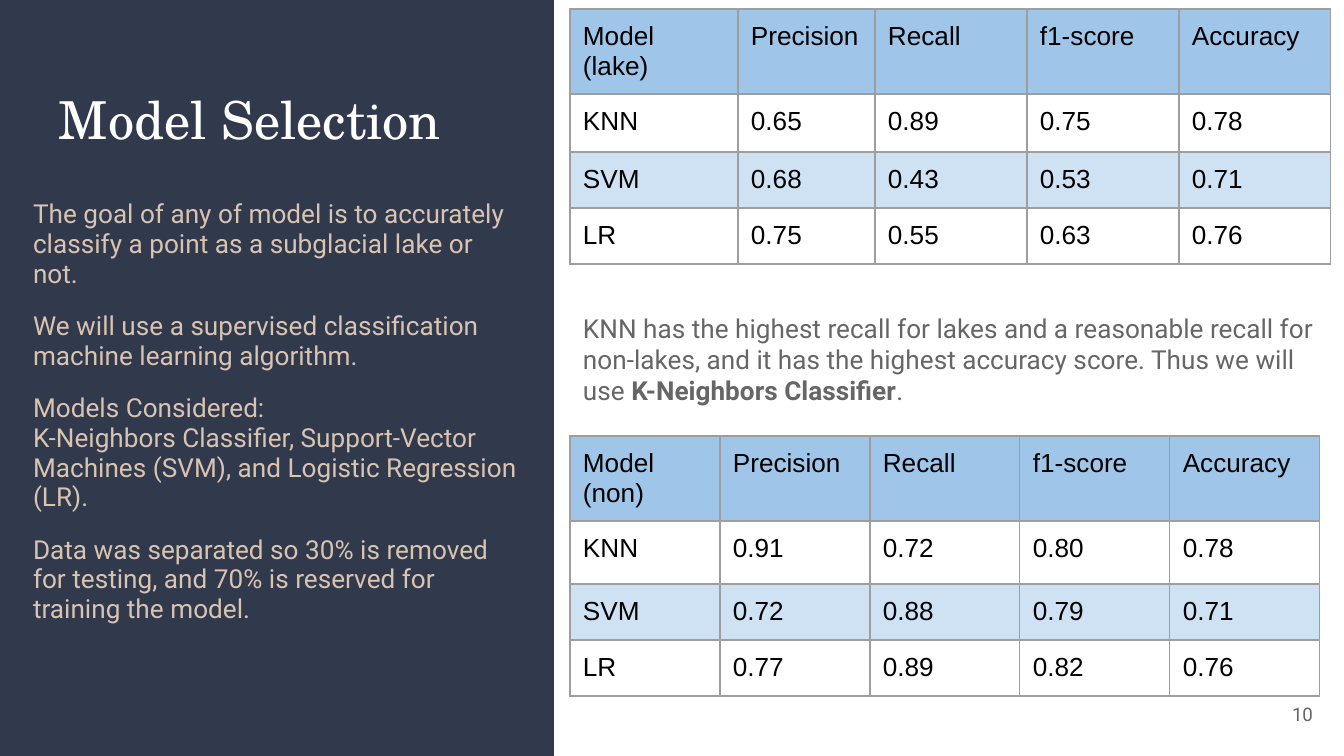
from pptx import Presentation
from pptx.dml.color import RGBColor
from pptx.enum.shapes import MSO_SHAPE as Shape
from pptx.enum.text import MSO_ANCHOR as Anchor, MSO_AUTO_SIZE as AutoSize, PP_ALIGN as Align
from pptx.oxml import parse_xml
from pptx.oxml.ns import nsdecls
from pptx.util import Emu, Pt

PX = 914400 / 134.4
INSET = 13
COLORS = {
    "panel": "31394D", "white": "FFFFFF", "sand": "D9C4B1", "gray": "666666",
    "black": "000000", "border": "9E9E9E", "header": "9FC5E8", "band": "CFE2F3",
}
GOALS = [
    ("The goal of any of model is to accurately classify a point as a subglacial lake or not.", 0),
    ("We will use a supervised classification machine learning algorithm.", 12),
    ("Models Considered:", 12),
    ("K-Neighbors Classifier, Support-Vector Machines (SVM), and Logistic Regression (LR).", 0),
    ("Data was separated so 30% is removed for testing, and 70% is reserved for training the model.", 12),
]
CONCLUSION = [
    ("KNN has the highest recall for lakes and a reasonable recall for non-lakes, "
     "and it has the highest accuracy score. Thus we will use ", False),
    ("K-Neighbors Classifier", True),
    (".", False),
]
METRICS = ["Precision", "Recall", "f1-score", "Accuracy"]
LAKE_SCORES = [
    ["Model (lake)", *METRICS],
    ["KNN", "0.65", "0.89", "0.75", "0.78"],
    ["SVM", "0.68", "0.43", "0.53", "0.71"],
    ["LR", "0.75", "0.55", "0.63", "0.76"],
]
NON_LAKE_SCORES = [
    ["Model (non)", *METRICS],
    ["KNN", "0.91", "0.72", "0.80", "0.78"],
    ["SVM", "0.72", "0.88", "0.79", "0.71"],
    ["LR", "0.77", "0.89", "0.82", "0.76"],
]


def px(length):
    """Turn pixels into EMU."""
    return Emu(round(length * PX))


def color(name):
    """Look up a named colour."""
    return RGBColor.from_string(COLORS[name])


def set_font(paragraph, name, size, color_name):
    """Set typeface, size and colour of a paragraph."""
    font = paragraph.font
    font.name, font.size = name, Pt(size)
    font.color.rgb = color(color_name)


def set_margins(target):
    """Give a text frame or a table cell equal insets."""
    target.margin_left = target.margin_right = px(INSET)
    target.margin_top = target.margin_bottom = px(INSET)


def prepare_text(shape, box, anchor=Anchor.TOP):
    """Place a text shape and return its text frame."""
    shape.left, shape.top, shape.width, shape.height = map(px, box)
    frame = shape.text_frame
    frame.word_wrap, frame.auto_size = True, AutoSize.NONE
    frame.vertical_anchor = anchor
    set_margins(frame)
    return frame


def add_panel(slide):
    """Add the dark left panel behind everything else."""
    panel = slide.shapes.add_shape(Shape.RECTANGLE, 0, 0, px(554), px(756))
    panel.shadow.inherit = False
    panel.fill.solid()
    panel.fill.fore_color.rgb = color("panel")
    panel.line.fill.background()
    slide.shapes.element.insert(2, panel.element)


def fill_title(slide):
    """Fill the title placeholder."""
    frame = prepare_text(slide.shapes.title, (46, 74, 460, 269))
    paragraph = frame.paragraphs[0]
    paragraph.text = "Model Selection"
    paragraph.alignment = Align.LEFT
    set_font(paragraph, "TeX Gyre Schola", 28, "white")


def fill_body(slide):
    """Fill the body placeholder with unbulleted paragraphs."""
    frame = prepare_text(slide.placeholders[1], (20, 187, 511, 532))
    for index, (text, space) in enumerate(GOALS):
        paragraph = frame.add_paragraph() if index else frame.paragraphs[0]
        paragraph.text = text
        properties = paragraph._p.get_or_add_pPr()
        properties.set("marL", "0")
        properties.set("indent", "0")
        properties.append(parse_xml(f"<a:buNone {nsdecls('a')}/>"))
        paragraph.line_spacing = 0.95
        paragraph.space_before = Pt(space)
        set_font(paragraph, "Roboto", 14, "sand")


def add_text(slide, box, runs, size, align=Align.LEFT, anchor=Anchor.TOP):
    """Add a gray one-paragraph text box from (text, bold) runs."""
    frame = prepare_text(slide.shapes.add_textbox(*map(px, box)), box, anchor)
    paragraph = frame.paragraphs[0]
    paragraph.alignment = align
    for text, bold in runs:
        run = paragraph.add_run()
        run.text, run.font.bold = text, bold
    set_font(paragraph, "Roboto", size, "gray")


def add_borders(cell):
    """Draw a thin line on each side of a cell."""
    properties = cell._tc.get_or_add_tcPr()
    for side in "LRTB":
        properties.append(parse_xml(
            f'<a:ln{side} {nsdecls("a")} w="{Pt(0.75)}"><a:solidFill>'
            f'<a:srgbClr val="{COLORS["border"]}"/></a:solidFill></a:ln{side}>'))


def format_cell(cell, text, fill):
    """Write and style one table cell."""
    cell.text = text
    set_margins(cell)
    set_font(cell.text_frame.paragraphs[0], "Arial", 14, "black")
    add_borders(cell)
    if fill:
        cell.fill.solid()
        cell.fill.fore_color.rgb = color(fill)
    else:
        cell.fill.background()


def add_score_table(slide, left, top, widths, heights, scores):
    """Add a table of model scores."""
    table = slide.shapes.add_table(
        len(heights), len(widths), px(left), px(top), px(sum(widths)), px(sum(heights))).table
    table.first_row = table.horz_banding = False
    for column, width in zip(table.columns, widths):
        column.width = px(width)
    fills = ["header", None, "band", None]
    for row, height, values, fill in zip(table.rows, heights, scores, fills):
        row.height = px(height)
        for cell, value in zip(row.cells, values):
            format_cell(cell, value, fill)


def main():
    """Build the slide and save it."""
    presentation = Presentation()
    presentation.slide_width, presentation.slide_height = px(1344), px(756)
    slide = presentation.slides.add_slide(presentation.slide_layouts[1])
    add_panel(slide)
    fill_title(slide)
    fill_body(slide)
    add_text(slide, (1246, 685, 80, 58), [("10", False)], 10, Align.RIGHT, Anchor.MIDDLE)
    add_score_table(slide, 570, 9, [168, 137, 152, 152, 152], [85, 58, 56, 56], LAKE_SCORES)
    add_score_table(slide, 570, 436, [150] * 5, [85, 63, 56, 56], NON_LAKE_SCORES)
    add_text(slide, (570, 299, 762, 115), CONCLUSION, 14)
    presentation.save("out.pptx")


if __name__ == "__main__":
    main()
